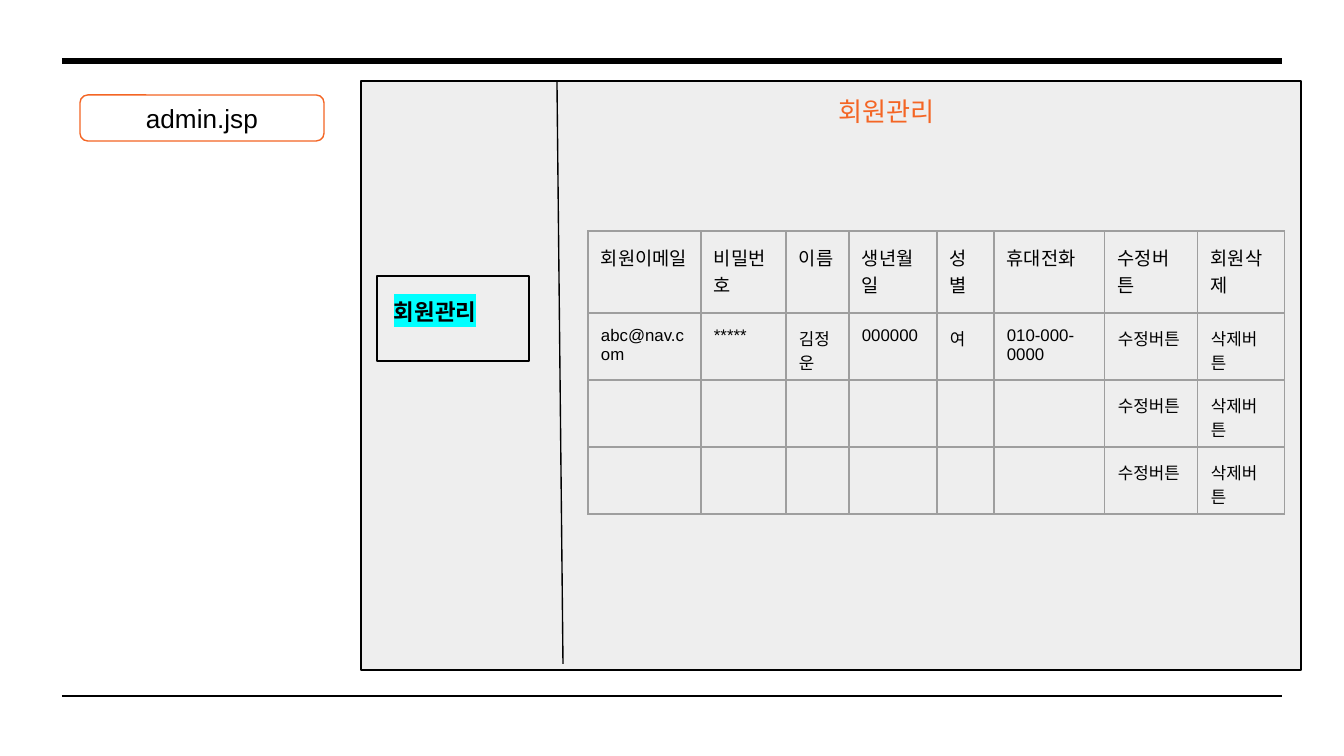
from pptx import Presentation
from pptx import util as u
from pptx.dml.color import RGBColor
from pptx.enum import shapes, text
from pptx.oxml.ns import qn
from lxml import etree

PX = 914400 / 134.4
KIND = shapes.MSO_SHAPE


def px(*nums):
    return [u.Emu(round(n * PX)) for n in nums]


def hue(code):
    return RGBColor.from_string(code)


deck = Presentation()
deck.slide_width, deck.slide_height = px(1344, 756)
slide = deck.slides.add_slide(deck.slide_layouts[6])
tree = slide.shapes

boxes = {}
for name, kind, area, fill, edge in [
    ("page", KIND.ROUNDED_RECTANGLE, (80, 95, 244, 46), None, "F46524"),
    ("panel", KIND.RECTANGLE, (361, 81, 940, 589), "EEEEEE", "000000"),
    ("menu", KIND.RECTANGLE, (377, 276, 152, 85), None, "000000"),
]:
    box = tree.add_shape(kind, *px(*area))
    box.shadow.inherit = False
    if fill:
        box.fill.solid()
        box.fill.fore_color.rgb = hue(fill)
    else:
        box.fill.background()
    box.line.color.rgb = hue(edge)
    box.line.width = u.Pt(0.75)
    boxes[name] = box

for ends, width in [
    ((62, 696, 1282, 696), 1.5),
    ((62, 61, 1282, 61), 3),
    ((557, 81, 563, 664), 0.75),
]:
    line = tree.add_connector(shapes.MSO_CONNECTOR.STRAIGHT, *px(*ends))
    line.line.color.rgb = hue("000000")
    line.line.width = u.Pt(width)
    etree.SubElement(line._element.spPr, qn("a:effectLst"))

boxes["title"] = tree.add_textbox(*px(825, 82, 170, 59))
boxes["item"] = tree.add_textbox(*px(381, 285, 158, 54))

for name, words, size, tint, bold, mark in [
    ("page", "admin.jsp", 14, "000000", False, None),
    ("title", "회원관리", 14, "F46524", False, None),
    ("item", "회원관리", 12, "000000", True, "00FFFF"),
]:
    frame = boxes[name].text_frame
    frame.word_wrap = True
    frame.margin_left, frame.margin_top, frame.margin_right, frame.margin_bottom = px(13, 13, 13, 13)
    mid = name == "page"
    frame.vertical_anchor = text.MSO_ANCHOR.MIDDLE if mid else text.MSO_ANCHOR.TOP
    para = frame.paragraphs[0]
    para.alignment = text.PP_ALIGN.CENTER if mid else text.PP_ALIGN.LEFT
    run = para.add_run()
    run.text = words
    run.font.size = u.Pt(size)
    run.font.bold = bold
    run.font.color.rgb = hue(tint)
    if mark:
        glow = etree.SubElement(run.font._element, qn("a:highlight"))
        etree.SubElement(glow, qn("a:srgbClr"), val=mark)
    run.font.name = "Arial"

blank = [""] * 6 + ["수정버튼", "삭제버튼"]
rows = [
    ["회원이메일", "비밀번호", "이름", "생년월일", "성별", "휴대전화", "수정버튼", "회원삭제"],
    ["abc@nav.com", "*****", "김정운", "000000", "여", "010-000-0000", "수정버튼", "삭제버튼"],
    blank,
    blank,
]
wide = [113, 85, 63, 88, 57, 111, 93, 87]
tall = [82, 67, 67, 67]
grid = tree.add_table(len(rows), len(wide), *px(588, 231, sum(wide), sum(tall))).table
grid.first_row = grid.horz_banding = False
for col, size in zip(grid.columns, px(*wide)):
    col.width = size
for row, size in zip(grid.rows, px(*tall)):
    row.height = size

for r, row in enumerate(rows):
    for c, words in enumerate(row):
        cell = grid.cell(r, c)
        cell.margin_left, cell.margin_top, cell.margin_right, cell.margin_bottom = px(13, 13, 13, 13)
        cell.fill.background()
        props = cell._tc.get_or_add_tcPr()
        for i, side in enumerate(["lnL", "lnR", "lnT", "lnB"]):
            edge = etree.Element(qn("a:" + side), w=str(u.Pt(0.75)))
            paint = etree.SubElement(edge, qn("a:solidFill"))
            etree.SubElement(paint, qn("a:srgbClr"), val="9E9E9E")
            props.insert(i, edge)
        if words:
            run = cell.text_frame.paragraphs[0].add_run()
            run.text = words
            run.font.size = u.Pt(9 if r else 10)
            run.font.name = "Arial"
            run.font.color.rgb = hue("000000")

deck.save("out.pptx")
